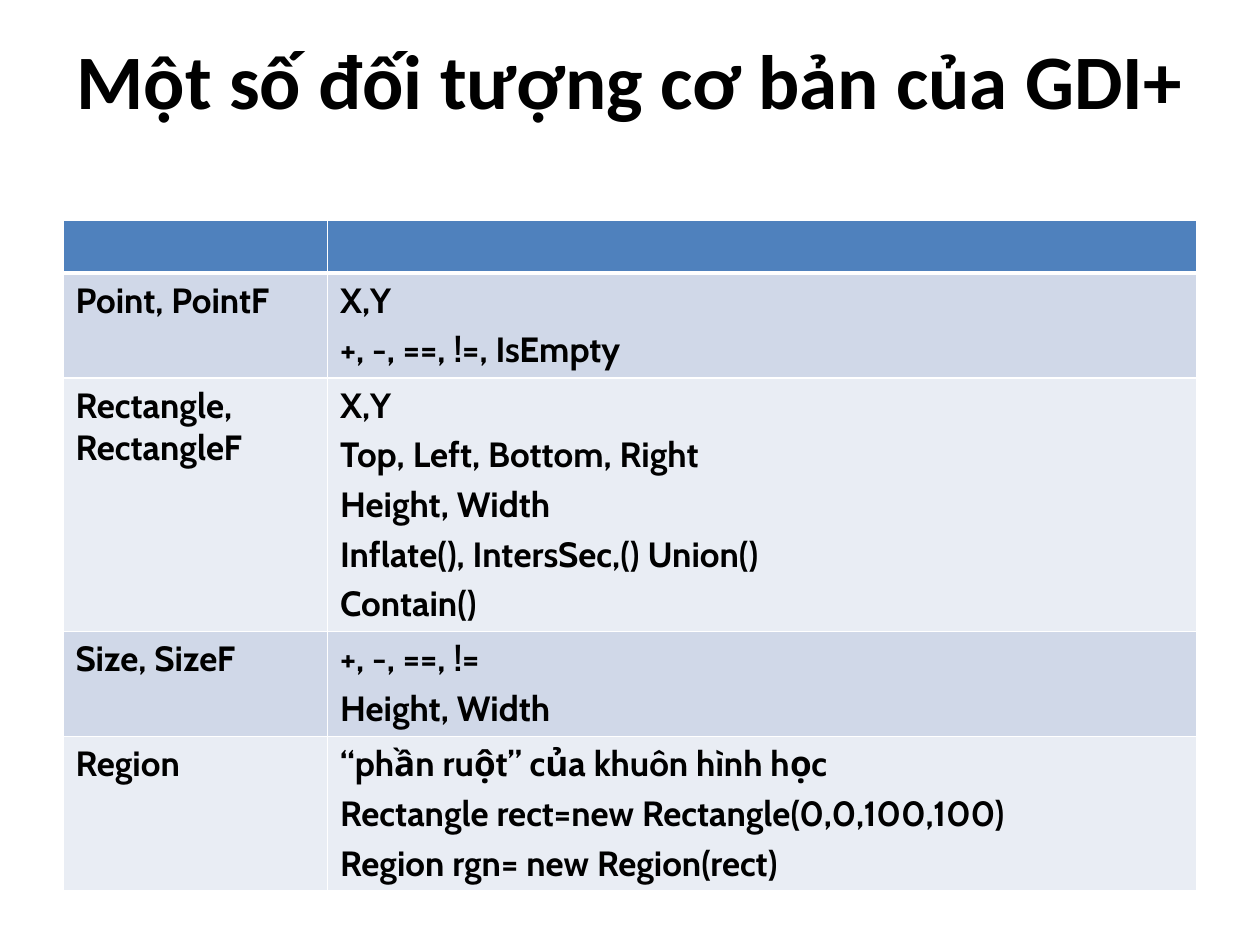
from pptx import Presentation
from pptx.dml.color import RGBColor
from pptx.enum.text import MSO_ANCHOR, PP_ALIGN
from pptx.oxml.ns import qn
from pptx.util import Pt
from lxml import etree

MIDDLE = MSO_ANCHOR.MIDDLE
CENTER = PP_ALIGN.CENTER

TITLE = "Một số đối tượng cơ bản của GDI+"
# (row height, types, members); the first row is the empty header band
ROWS = [
    (30, [], []),
    (60, ["Point, PointF"], ["X,Y", "+, -, ==, !=, IsEmpty"]),
    (145, ["Rectangle, RectangleF"],
     ["X,Y", "Top, Left, Bottom, Right", "Height, Width",
      "Inflate(), IntersSec,() Union()", "Contain()"]),
    (60, ["Size, SizeF"], ["+, -, ==, !=", "Height, Width"]),
    (88, ["Region"],
     ["“phần ruột” của khuôn hình học",
      "Rectangle rect=new Rectangle(0,0,100,100)",
      "Region rgn= new Region(rect)"]),
]
COLUMNS = (151.2, 496.8)
LEFT, TABLE_TOP, TITLE_HEIGHT = 36, 126, 90

THEME = {
    "text": "000000", "border": "FFFFFF", "header": "4F81BD",
    "bands": ("E9EDF4", "D0D8E8"),
    "title_font": "Calibri", "title_size": 44,
    "body_font": "Cabin", "body_size": 20, "paragraph_gap": 4,
}


def add_span(para, text, font, size):
    span = para.add_run()
    span.text = text
    span.font.name = font
    span.font.size = Pt(size)
    span.font.bold = True
    span.font.color.rgb = RGBColor.from_string(THEME["text"])


def set_borders(cell, widths):
    """Draw cell edges; widths maps lnL, lnR, lnT and lnB to points."""
    properties = cell._tc.get_or_add_tcPr()
    for position, (edge, width) in enumerate(widths.items()):
        line = etree.Element(qn(f"a:{edge}"), w=str(int(Pt(width))))
        fill = etree.SubElement(line, qn("a:solidFill"))
        etree.SubElement(fill, qn("a:srgbClr"), val=THEME["border"])
        properties.insert(position, line)


def add_title(page):
    box = page.shapes.add_textbox(Pt(LEFT), Pt(0), Pt(sum(COLUMNS)), Pt(TITLE_HEIGHT))
    frame = box.text_frame
    frame.word_wrap = True
    frame.vertical_anchor = MIDDLE
    para = frame.paragraphs[0]
    para.alignment = CENTER
    add_span(para, TITLE, THEME["title_font"], THEME["title_size"])


def fill_cell(cell, lines, row_index):
    color = THEME["bands"][row_index % 2] if row_index else THEME["header"]
    cell.fill.solid()
    cell.fill.fore_color.rgb = RGBColor.from_string(color)
    set_borders(cell, {"lnL": 1, "lnR": 1,
                       "lnT": 3 if row_index == 1 else 1,
                       "lnB": 3 if row_index == 0 else 1})
    frame = cell.text_frame
    for index, text in enumerate(lines):
        para = frame.add_paragraph() if index else frame.paragraphs[0]
        if index:
            para.space_before = Pt(THEME["paragraph_gap"])
        add_span(para, text, THEME["body_font"], THEME["body_size"])


def add_object_table(page):
    height = sum(row[0] for row in ROWS)
    table = page.shapes.add_table(
        len(ROWS), len(COLUMNS), Pt(LEFT), Pt(TABLE_TOP),
        Pt(sum(COLUMNS)), Pt(height)).table
    for column, width in zip(table.columns, COLUMNS):
        column.width = Pt(width)
    for row_index, (row_height, *cells) in enumerate(ROWS):
        table.rows[row_index].height = Pt(row_height)
        for column_index, lines in enumerate(cells):
            fill_cell(table.cell(row_index, column_index), lines, row_index)


def main():
    deck = Presentation()
    deck.slide_width, deck.slide_height = Pt(720), Pt(540)
    page = deck.slides.add_slide(deck.slide_layouts[6])
    add_title(page)
    add_object_table(page)
    deck.save("out.pptx")


if __name__ == "__main__":
    main()
